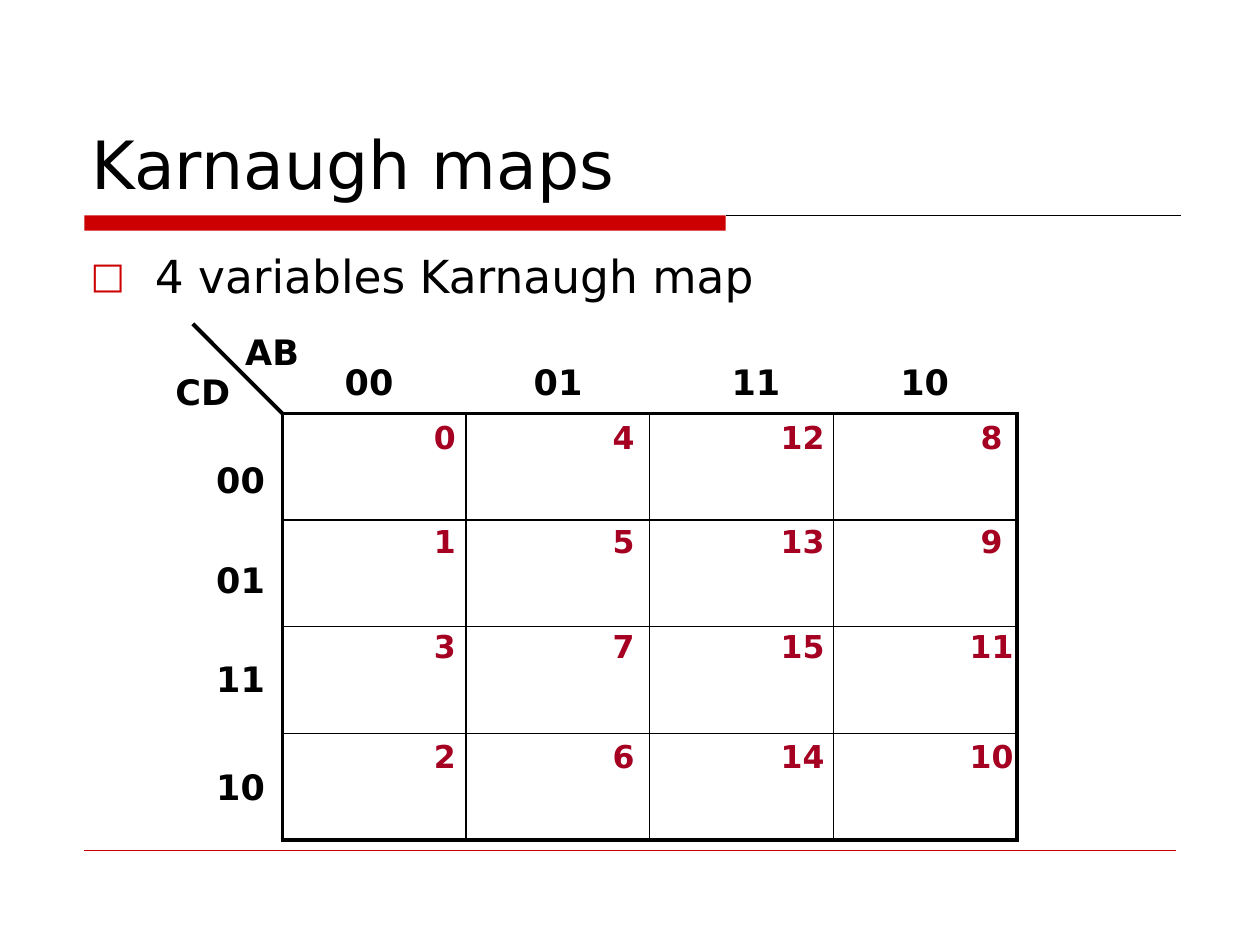
from dataclasses import dataclass

from lxml import etree
from pptx import Presentation
from pptx.dml.color import RGBColor
from pptx.enum.shapes import MSO_CONNECTOR, MSO_SHAPE
from pptx.enum.text import MSO_ANCHOR, PP_ALIGN
from pptx.oxml.ns import qn
from pptx.slide import Slide
from pptx.util import Inches, Pt

STRAIGHT, RECTANGLE = MSO_CONNECTOR.STRAIGHT, MSO_SHAPE.RECTANGLE
TOP, BOTTOM = MSO_ANCHOR.TOP, MSO_ANCHOR.BOTTOM
LEFT, CENTER = PP_ALIGN.LEFT, PP_ALIGN.CENTER

BLACK = RGBColor(0x00, 0x00, 0x00)
RED = RGBColor(0xCC, 0x00, 0x00)
CRIMSON = RGBColor(0xA5, 0x00, 0x21)

GRAY_CODE = (0, 1, 3, 2)
SIZE = len(GRAY_CODE)
MAP_LEFT, MAP_TOP, CELL_WIDTH, CELL_HEIGHT = 22.4, 32.8, 14.58, 8.47
COLUMN_LABELS = (29.3, 44.3, 60, 73.4)
ROW_LABELS = (35.9, 43.8, 51.7, 60.3)
MINTERM_COLUMNS = (35.3, 49.5, 63.7, 78.7)
MINTERM_ROWS = (32.7, 40.9, 49.3, 58)


@dataclass
class MapSlide:
    """Draws elements on a slide laid out as 100 columns by 75 rows."""

    slide: Slide
    font: str = "DejaVu Sans"
    unit: int = Inches(0.1)

    def grid(self, *lengths):
        return [round(length * self.unit) for length in lengths]

    def text(self, wording, left, top, width, height, size, color=BLACK,
             bold=False, anchor=TOP, align=LEFT, wrap=True, bullet=None):
        box = self.slide.shapes.add_textbox(*self.grid(left, top, width, height))
        frame = box.text_frame
        frame.word_wrap = wrap
        frame.vertical_anchor = anchor
        paragraph = frame.paragraphs[0]
        paragraph.text = wording
        paragraph.alignment = align
        if bullet:
            self.bullet(paragraph, bullet)
        font = paragraph.font
        font.name, font.size, font.bold = self.font, Pt(size), bold
        font.color.rgb = color

    def bullet(self, paragraph, symbol, indent=5.1):
        properties = paragraph._p.get_or_add_pPr()
        hang = self.grid(indent)[0]
        properties.set("marL", str(hang))
        properties.set("indent", str(-hang))
        tint = etree.SubElement(properties, qn("a:buClr"))
        etree.SubElement(tint, qn("a:srgbClr"), val=str(RED))
        etree.SubElement(properties, qn("a:buSzPct"), val="80000")
        etree.SubElement(properties, qn("a:buFont"), typeface=self.font)
        etree.SubElement(properties, qn("a:buChar"), char=symbol)

    def label(self, wording, center, top, size=20, color=BLACK):
        width, height = 8, size * 0.22
        self.text(wording, center - width / 2, top, width, height, size, color,
                  bold=True, align=CENTER, wrap=False)

    def line(self, start, end, color, weight):
        rule = self.slide.shapes.add_connector(
            STRAIGHT, *self.grid(*start, *end))
        rule.line.color.rgb = color
        rule.line.width = Pt(weight)
        etree.SubElement(rule._element.spPr, qn("a:effectLst"))

    def bar(self, left, top, width, height, color):
        bar = self.slide.shapes.add_shape(
            RECTANGLE, *self.grid(left, top, width, height))
        bar.shadow.inherit = False
        bar.fill.solid()
        bar.fill.fore_color.rgb = color
        bar.line.fill.background()

    def border(self, cell, side, weight):
        properties = cell._tc.get_or_add_tcPr()
        edge = etree.SubElement(properties, qn(f"a:ln{side}"), w=str(Pt(weight)))
        fill = etree.SubElement(edge, qn("a:solidFill"))
        etree.SubElement(fill, qn("a:srgbClr"), val=str(BLACK))

    def table(self, left, top, cell_width, cell_height, count, thick=2.25, thin=1):
        table = self.slide.shapes.add_table(count, count, *self.grid(
            left, top, cell_width * count, cell_height * count)).table
        table.first_row = table.horz_banding = False
        last = count - 1
        for row in range(count):
            for column in range(count):
                cell = table.cell(row, column)
                outer = {"L": column == 0, "R": column == last,
                         "T": row == 0, "B": row == last}
                for side, is_outer in outer.items():
                    self.border(cell, side, thick if is_outer else thin)
                cell.fill.background()


def main():
    deck = Presentation()
    deck.slide_width, deck.slide_height = Inches(10), Inches(7.5)
    page = MapSlide(deck.slides.add_slide(deck.slide_layouts[6]))

    page.bar(6.7, 17.1, 50.9, 1.2, RED)
    page.line((57.6, 17.1), (93.7, 17.1), BLACK, 0.5)
    page.line((6.7, 67.5), (93.3, 67.5), RED, 0.25)
    page.text("Karnaugh maps", 6.3, 3.3, 87.5, 13.3, 38, anchor=BOTTOM)
    page.text("4 variables Karnaugh map", 6.2, 19.2, 76.1, 11.2, 26, bullet="□")

    page.table(MAP_LEFT, MAP_TOP, CELL_WIDTH, CELL_HEIGHT, SIZE)
    page.line((MAP_LEFT, MAP_TOP), (MAP_LEFT - 7.1, MAP_TOP - 7.1), BLACK, 2.25)
    page.label("AB", 21.6, 25.7)
    page.label("CD", 16.1, 28.9)
    for code, center, top in zip(GRAY_CODE, COLUMN_LABELS, ROW_LABELS):
        page.label(f"{code:02b}", center, 28.1)
        page.label(f"{code:02b}", 19.1, top)

    for ab, center in zip(GRAY_CODE, MINTERM_COLUMNS):
        for cd, top in zip(GRAY_CODE, MINTERM_ROWS):
            page.label(str(SIZE * ab + cd), center, top, 18, CRIMSON)

    deck.save("out.pptx")


if __name__ == "__main__":
    main()
